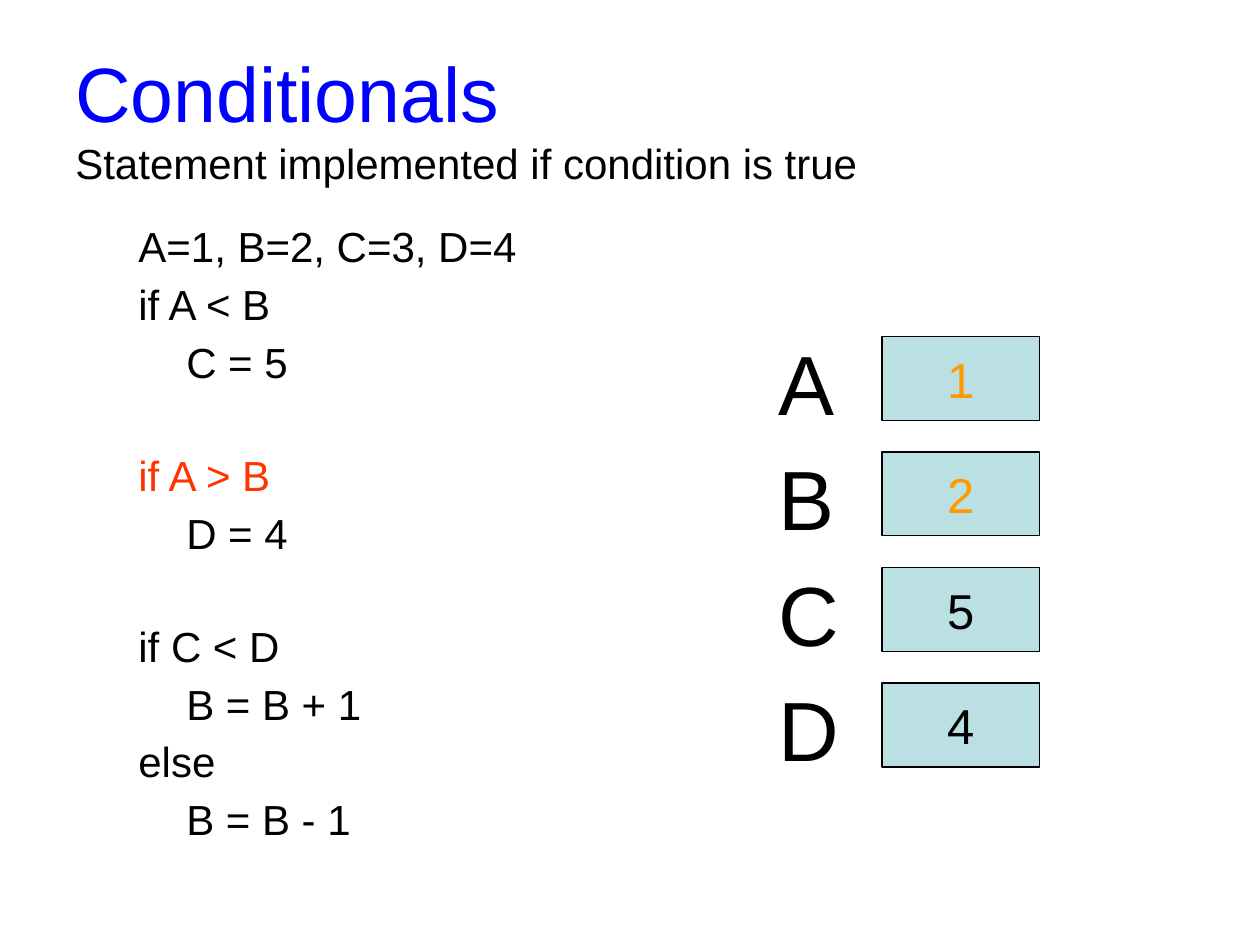
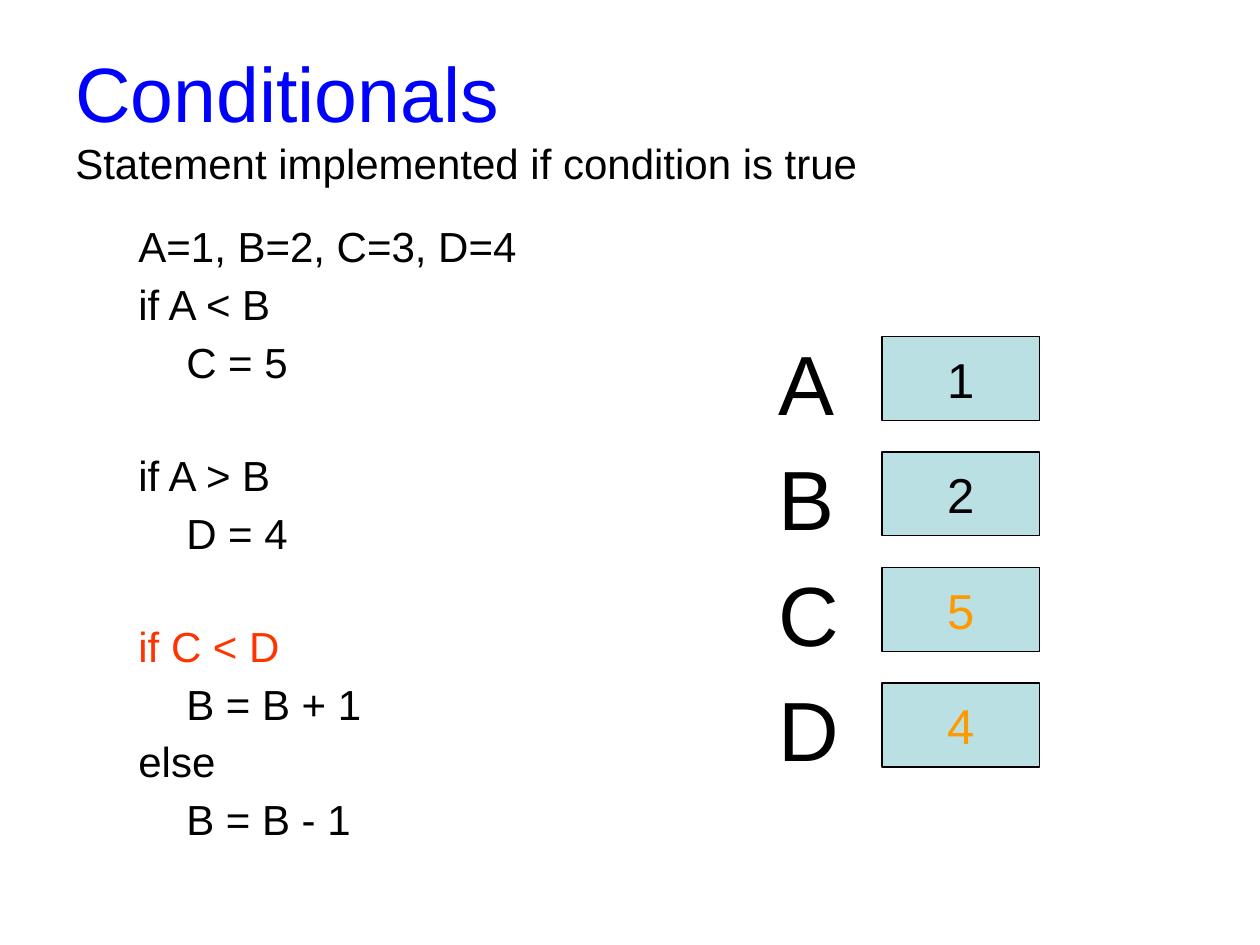
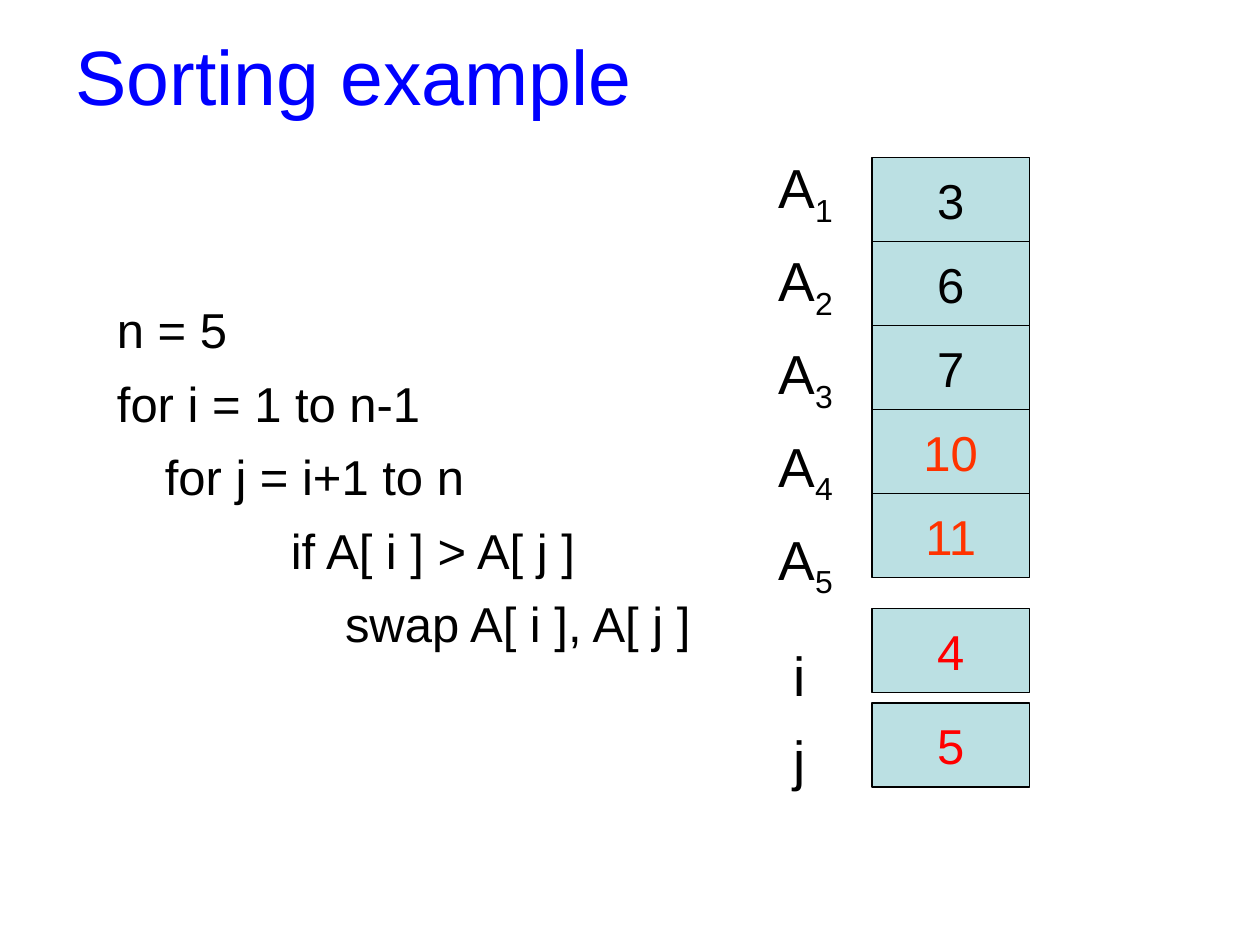
from pptx import Presentation
from pptx.dml.color import RGBColor
from pptx.enum.shapes import MSO_SHAPE as Shape
from pptx.enum.text import MSO_ANCHOR as Anchor, PP_ALIGN as Align
from pptx.util import Inches, Pt

# Shared look
FONT = "Arial"
BLACK, BLUE, CELL_FILL = "000000", "0000FF", "BBE0E3"
ORANGE, VERMILION, RED = "FF9900", "FF3300", "FF0000"
CELL_WIDTH, CELL_HEIGHT = 1.25, 2 / 3

# Content: code lines are (indent in inches, text)
TITLE = "Conditionals"
SUBTITLE = "Statement implemented if condition is true"
CONDITIONAL_BLOCKS = [
    [(0, "A=1, B=2, C=3, D=4"), (0, "if A < B"), (0.38, "C = 5")],
    [(0, "if A > B"), (0.38, "D = 4")],
    [(0, "if C < D"), (0.38, "B = B + 1"), (0, "else"), (0.38, "B = B - 1")],
]
VARIABLES = [("A", "1"), ("B", "2"), ("C", "5"), ("D", "4")]
CONDITIONAL_STEPS = [("if A > B", "AB"), ("if C < D", "CD")]

SORT_CODE = [
    (0, "n = 5"),
    (0, "for i = 1 to n-1"),
    (0.38, "for j = i+1 to n"),
    (1.38, "if A[ i ] > A[ j ]"),
    (1.81, "swap A[ i ], A[ j ]"),
]
SORT_ARRAY = [("3", BLACK), ("6", BLACK), ("7", BLACK),
              ("10", VERMILION), ("11", VERMILION)]
SORT_COUNTERS = [("i", "4", 4.83), ("j", "5", 5.58)]


def color(value):
    return RGBColor.from_string(value)


def add_span(para, text, size, ink=BLACK):
    span = para.add_run()
    span.text = text
    span.font.name = FONT
    span.font.size = Pt(size)
    span.font.color.rgb = color(ink)
    return span


def add_box(page, left, top, width, height, anchor=Anchor.TOP):
    box = page.shapes.add_textbox(*map(Inches, (left, top, width, height)))
    box.text_frame.word_wrap = True
    box.text_frame.vertical_anchor = anchor
    return box.text_frame


def add_para(frame, gap=0, indent=0, spacing=1.0):
    """Start a paragraph; the first of a box has no space before."""
    first = not frame.paragraphs[0].runs
    para = frame.paragraphs[0] if first else frame.add_paragraph()
    para.line_spacing = spacing
    para.space_before = Pt(0 if first else gap)
    if indent:
        para._p.get_or_add_pPr().set("marL", str(Inches(indent)))
    return para


def add_title(page, top, height, title, subtitle=None):
    frame = add_box(page, 0.5, top, 9, height, Anchor.MIDDLE)
    add_span(add_para(frame), title, 44, BLUE)
    if subtitle:
        add_span(add_para(frame), subtitle, 24)


def add_cell(page, left, top, value, ink):
    cell = page.shapes.add_shape(
        Shape.RECTANGLE, *map(Inches, (left, top, CELL_WIDTH, CELL_HEIGHT)))
    cell.shadow.inherit = False
    cell.fill.solid()
    cell.fill.fore_color.rgb = color(CELL_FILL)
    cell.line.color.rgb = color(BLACK)
    cell.line.width = Pt(0.75)
    frame = cell.text_frame
    frame.word_wrap = False
    frame.vertical_anchor = Anchor.MIDDLE
    para = frame.paragraphs[0]
    para.alignment = Align.CENTER
    add_span(para, value, 28, ink)


def build_conditionals(page, active_line, active_names):
    add_title(page, 0.3, 1.25, TITLE, SUBTITLE)

    # Code, with one line's height between blocks
    code = add_box(page, 1, 1.75, 4.08, 5.17)
    for block in CONDITIONAL_BLOCKS:
        for number, (indent, text) in enumerate(block):
            para = add_para(code, 7 if number else 38.9, indent, 0.9)
            add_span(para, text, 24, VERMILION if text == active_line else BLACK)

    # Variable names and their values
    names = add_box(page, 6.08, 2.67, 0.9, 4.08)
    for row, (name, value) in enumerate(VARIABLES):
        add_span(add_para(names, 14.2, spacing=0.9), name, 48)
        ink = ORANGE if name in active_names else BLACK
        add_cell(page, 7, 2.67 + row * 2.75 / 3, value, ink)


def build_sorting(page):
    add_title(page, 0.18, 0.83, "Sorting example")

    code = add_box(page, 0.83, 2.33, 4.92, 5.17)
    for indent, text in SORT_CODE:
        add_span(add_para(code, 8.4, indent), text, 28)

    # Array names with subscripts, and their values
    names = add_box(page, 6.08, 1.17, 0.8, 5.08)
    for row, (value, ink) in enumerate(SORT_ARRAY):
        para = add_para(names, 10.2)
        add_span(para, "A", 31.4)
        subscript = add_span(para, str(row + 1), 31.4)
        subscript.font._element.set("baseline", "-25000")
        add_cell(page, 6.92, 1.25 + row * CELL_HEIGHT, value, ink)

    # Loop counters, set apart from the array
    for number, (name, value, top) in enumerate(SORT_COUNTERS):
        para = add_para(names, 10.2 if number else 23.8, 0.12)
        add_span(para, name, 31.4)
        add_cell(page, 6.92, top, value, RED)


def main():
    deck = Presentation()
    deck.slide_width, deck.slide_height = Inches(10), Inches(7.5)
    blank = deck.slide_layouts[6]
    for active_line, active_names in CONDITIONAL_STEPS:
        build_conditionals(deck.slides.add_slide(blank), active_line, active_names)
    build_sorting(deck.slides.add_slide(blank))
    deck.save("out.pptx")


if __name__ == "__main__":
    main()
